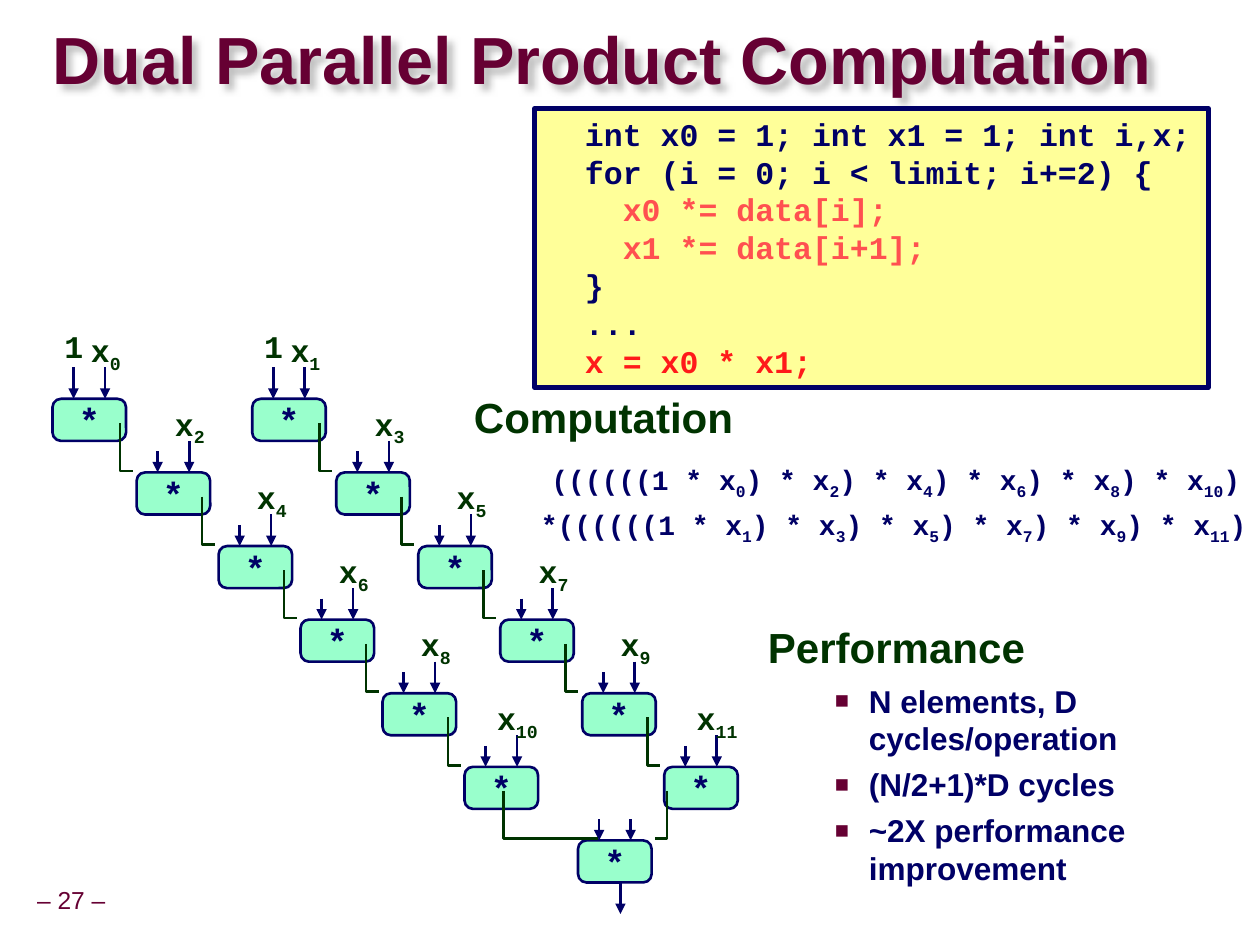
from dataclasses import dataclass

from lxml.etree import SubElement
from pptx import Presentation
from pptx.dml.color import RGBColor
from pptx.enum.shapes import MSO_CONNECTOR as Connector, MSO_SHAPE as Preset
from pptx.enum.text import MSO_ANCHOR as Anchor, PP_ALIGN as Align
from pptx.oxml.ns import qn
from pptx.util import Pt

NAVY, GREEN, WINE = "000066", "003300", "660033"
MINT, YELLOW, CORAL, RED = "99FFCC", "FFFF99", "FF5050", "FF1A1A"
SANS, MONO = "Arial", "Courier New"
BOX_WIDTH, BOX_HEIGHT = 42, 24
FIRST_TOP, ROW_STEP, COLUMN_STEP = 227.6, 42, 46.8
STAGES = 6


@dataclass
class Style:
    size: float
    color: str
    font: str = SANS
    bold: bool = True


@dataclass
class Layout:
    align: Align = Align.LEFT
    spacing: float | Pt = 1.0
    before: float = 0
    margin: float = 0
    indent: float = 0
    bullet: str = ""


@dataclass
class Product:
    left: float
    top: float
    left_arrow: float = 12
    right_arrow: float = 18


HEADING = Style(24, GREEN)
OPERATOR = Style(20, NAVY, MONO)
OPERAND = Style(18, GREEN, MONO)
FORMULA = Style(16, NAVY, MONO)
POINT = Style(18, NAVY)


def rgb(value: str) -> RGBColor:
    return RGBColor.from_string(value)


def add_run(paragraph, text: str, style: Style, subscript: bool = False) -> None:
    run = paragraph.add_run()
    run.text = text
    run.font.size = Pt(style.size)
    run.font.name = style.font
    run.font.bold = style.bold
    run.font.color.rgb = rgb(style.color)
    if subscript:
        run.font._element.set("baseline", "-25000")


def next_paragraph(frame, layout: Layout):
    first = frame.paragraphs[0]
    paragraph = frame.add_paragraph() if first.runs else first
    properties = paragraph._p.get_or_add_pPr()
    properties.set("marL", str(Pt(layout.margin)))
    properties.set("indent", str(Pt(layout.indent)))
    if layout.bullet:
        color = SubElement(properties, qn("a:buClr"))
        SubElement(color, qn("a:srgbClr"), val=WINE)
        SubElement(properties, qn("a:buSzPct"), val="75000")
        SubElement(properties, qn("a:buFont"), typeface=SANS)
        SubElement(properties, qn("a:buChar"), char=layout.bullet)
    paragraph.alignment = layout.align
    paragraph.line_spacing = layout.spacing
    paragraph.space_before = Pt(layout.before)
    return paragraph


def set_margins(frame, across: float, down: float) -> None:
    frame.margin_left = frame.margin_right = Pt(across)
    frame.margin_top = frame.margin_bottom = Pt(down)


def add_text_frame(slide, left: float, top: float, width: float, height: float,
                   wrap: bool = True, inset: float = 7.2):
    frame = slide.shapes.add_textbox(Pt(left), Pt(top), Pt(width), Pt(height)).text_frame
    frame.word_wrap = wrap
    set_margins(frame, inset, 3.6)
    return frame


def add_box(slide, preset: Preset, left: float, top: float, width: float,
            height: float, fill: str, border: float):
    box = slide.shapes.add_shape(preset, Pt(left), Pt(top), Pt(width), Pt(height))
    box.shadow.inherit = False
    box.fill.solid()
    box.fill.fore_color.rgb = rgb(fill)
    box.line.color.rgb = rgb(NAVY)
    box.line.width = Pt(border)
    box.text_frame.word_wrap = False
    return box


def add_arrow(slide, x: float, start: float, end: float) -> None:
    arrow = slide.shapes.add_connector(Connector.STRAIGHT, Pt(x), Pt(start), Pt(x), Pt(end))
    arrow.line.color.rgb = rgb(NAVY)
    arrow.line.width = Pt(1.5)
    SubElement(arrow.line._get_or_add_ln(), qn("a:tailEnd"), type="triangle")
    SubElement(arrow._element.spPr, qn("a:effectLst"))


def add_elbow(slide, x: float, end: float, target_top: float) -> None:
    corner = Pt(target_top - 0.9)
    builder = slide.shapes.build_freeform(Pt(x), Pt(target_top - 28.2))
    builder.add_line_segments([(Pt(x), corner), (Pt(end), corner)], close=False)
    elbow = builder.convert_to_shape()
    elbow.shadow.inherit = False
    elbow.fill.background()
    elbow.line.color.rgb = rgb(GREEN)
    elbow.line.width = Pt(1.5)


def add_product(slide, product: Product) -> None:
    left, top = product.left, product.top
    box = add_box(slide, Preset.ROUNDED_RECTANGLE, left, top, BOX_WIDTH, BOX_HEIGHT, MINT, 1.5)
    box.adjustments[0] = 0.2
    box.text_frame.vertical_anchor = Anchor.MIDDLE
    add_run(next_paragraph(box.text_frame, Layout(Align.CENTER)), "*", OPERATOR)
    add_arrow(slide, left + 12, top - product.left_arrow, top)
    add_arrow(slide, left + 30, top - product.right_arrow, top)


def add_operand(slide, left: float, top: float, width: float, text: str, index: str = "") -> None:
    frame = add_text_frame(slide, left, top - 42, width, 27, wrap=False, inset=3.6)
    paragraph = next_paragraph(frame, Layout(Align.CENTER, 0.9))
    add_run(paragraph, text, OPERAND)
    if index:
        add_run(paragraph, index, OPERAND, subscript=True)


def add_chain(slide, start: float, first_index: int) -> None:
    for stage in range(STAGES):
        left = start + (1.2 + COLUMN_STEP * stage if stage else 0)
        top = FIRST_TOP + ROW_STEP * stage
        add_product(slide, Product(left, top, left_arrow=12 if stage else 18))
        if stage:
            add_elbow(slide, left - 9.5, left - 2.2, top)
        else:
            add_operand(slide, left + 3.2, top, 18, "1")
        index = str(first_index + 2 * stage)
        offset, width = (14, 32.4) if len(index) > 1 else (17.8, 25.2)
        add_operand(slide, left + offset, top, width, "x", index)


def add_formula(frame, opening: str, first_index: int, layout: Layout) -> None:
    paragraph = next_paragraph(frame, layout)
    for stage in range(STAGES):
        add_run(paragraph, ") * x" if stage else opening, FORMULA)
        add_run(paragraph, str(first_index + 2 * stage), FORMULA, subscript=True)
    add_run(paragraph, ")", FORMULA)


def add_title(slide) -> None:
    title = slide.shapes.title
    title.left, title.top, title.width, title.height = Pt(30), Pt(6), Pt(689), Pt(61)
    title.fill.background()
    effects = SubElement(title._element.spPr, qn("a:effectLst"))
    shadow = SubElement(effects, qn("a:outerShdw"), blurRad=str(Pt(4)), dist=str(Pt(4)),
                        dir="2700000", algn="ctr", rotWithShape="0")
    SubElement(shadow, qn("a:srgbClr"), val="C0C0C0")
    frame = title.text_frame
    frame.word_wrap = True
    frame.vertical_anchor = Anchor.MIDDLE
    set_margins(frame, 0, 0)
    add_run(next_paragraph(frame, Layout(spacing=0.87)),
            "Dual Parallel Product Computation", Style(38, WINE))


def add_code(slide) -> None:
    code = add_box(slide, Preset.RECTANGLE, 305.3, 61.9, 384.5, 159.1, YELLOW, 3)
    code.text_frame.vertical_anchor = Anchor.TOP
    set_margins(code.text_frame, 7.2, 3.6)
    for text, color in (
        ("  int x0 = 1; int x1 = 1; int i,x;", NAVY),
        ("  for (i = 0; i < limit; i+=2) {", NAVY),
        ("    x0 *= data[i];", CORAL),
        ("    x1 *= data[i+1];", CORAL),
        ("  }", NAVY),
        ("  ...", NAVY),
        ("  x = x0 * x1;", RED),
    ):
        add_run(next_paragraph(code.text_frame, Layout(spacing=Pt(21.6))), text,
                Style(18, color, MONO))


def main() -> None:
    deck = Presentation()
    deck.slide_width, deck.slide_height = Pt(719.3), Pt(539.3)
    slide = deck.slides.add_slide(deck.slide_layouts[5])
    add_title(slide)

    page = add_text_frame(slide, 16.6, 503.3, 48.2, 23, wrap=False, inset=3.6)
    add_run(next_paragraph(page, Layout(Align.CENTER, 0.9)), "– 27 –", Style(14, WINE, bold=False))

    heading = Layout(spacing=0.95, margin=30, indent=-30)
    computation = add_text_frame(slide, 263.5, 221.8, 485.3, 167.8)
    add_run(next_paragraph(computation, heading), "Computation", HEADING)
    add_formula(computation, "((((((1 * x", 0, Layout(spacing=Pt(20), before=13, margin=57.6, indent=-13.4))
    add_formula(computation, "*((((((1 * x", 1, Layout(spacing=Pt(20), before=5.7, margin=57.6, indent=-19.4))

    for start, first_index in ((144, 1), (30, 0)):
        add_chain(slide, start, first_index)

    final = Product(330, FIRST_TOP + ROW_STEP * STAGES, right_arrow=12)
    add_product(slide, final)
    add_elbow(slide, 287.3, 341.3, final.top)
    add_elbow(slide, 380.9, 373.7, final.top)
    bottom = final.top + BOX_HEIGHT
    add_arrow(slide, 354.2, bottom, bottom + 18)
    add_code(slide)

    performance = add_text_frame(slide, 431.3, 353.5, 287.3, 155.5)
    add_run(next_paragraph(performance, heading), "Performance", HEADING)
    for point in ("N elements, D cycles/operation", "(N/2+1)*D cycles", "~2X performance improvement"):
        layout = Layout(spacing=Pt(21.6), before=4.6, margin=57.6, indent=-19.4, bullet="■")
        add_run(next_paragraph(performance, layout), point, POINT)

    deck.save("out.pptx")


if __name__ == "__main__":
    main()
